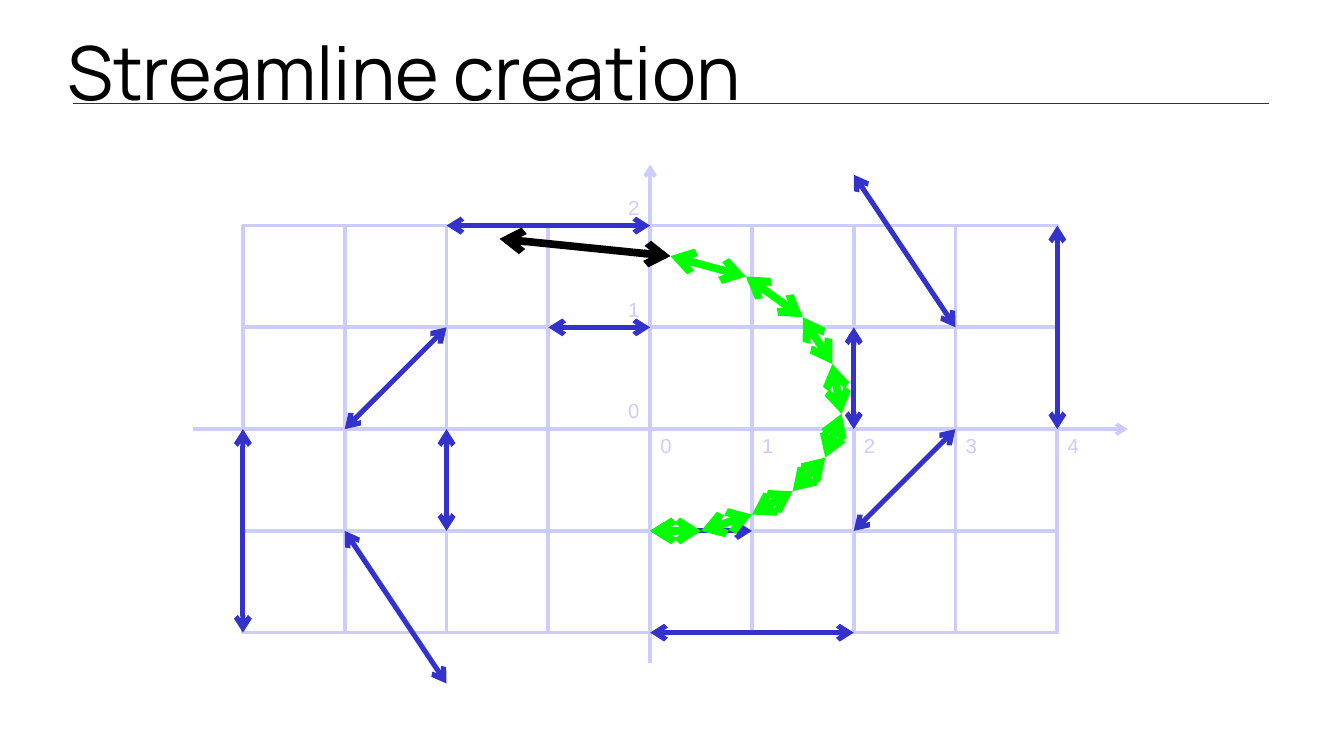
from itertools import pairwise, product

from lxml.etree import SubElement
from pptx import Presentation
from pptx.dml.color import RGBColor
from pptx.enum.shapes import MSO_CONNECTOR as Connector, MSO_SHAPE as Shape
from pptx.enum.text import MSO_ANCHOR as Anchor, PP_ALIGN as Align
from pptx.oxml.ns import qn
from pptx.util import Cm, Pt

GRID_COLOR = "CCCCFF"
FIELD_COLOR = "3333CC"
STREAM_COLOR = "00FF00"
BLACK = "000000"
UNIT = 2.12
COLUMNS, ROWS = 8, 4
FIELD_POINTS = [(1 * 2, 0), (4, 0), (-4, 0), (-2, 0), (0, 1), (0, 2),
                (0, -2), (0, -1), (2, -1), (-2, 1), (3, 1), (-3, -1)]
STREAM_POINTS = [(0, -1), (0.5, -1), (1, -0.84), (1.4, -0.61), (1.72, -0.28),
                 (1.88, 0.15), (1.79, 0.64), (1.5, 1.1), (0.94, 1.5), (0.2, 1.7)]
NEXT_POINT = (-1.48, 1.87)


def color(value):
    """Return the colour for a hex string."""
    return RGBColor.from_string(value)


def add_line(slide, start, end, line_color, width, head=False, tail=False):
    """Draw a straight line between two points in cm, with optional arrowheads."""
    line = slide.shapes.add_connector(
        Connector.STRAIGHT, *(Cm(value) for value in (*start, *end)))
    line.line.color.rgb = color(line_color)
    line.line.width = Pt(width)
    for tag, wanted in (("a:headEnd", head), ("a:tailEnd", tail)):
        if wanted:
            SubElement(line.line._get_or_add_ln(), qn(tag), type="arrow")
    SubElement(line._element.spPr, qn("a:effectLst"))


def add_text(slide, box, text, font_name, size, text_color, align):
    """Place one line of text, vertically centred in a box given in cm."""
    shape = slide.shapes.add_textbox(*(Cm(value) for value in box))
    frame = shape.text_frame
    frame.word_wrap = True
    frame.vertical_anchor = Anchor.MIDDLE
    frame.margin_left = frame.margin_right = 0
    frame.margin_top = frame.margin_bottom = 0
    paragraph = frame.paragraphs[0]
    paragraph.alignment = align
    run = paragraph.add_run()
    run.text = text
    run.font.name = font_name
    run.font.size = Pt(size)
    run.font.color.rgb = color(text_color)


def add_title(slide, box, text):
    """Set the slide title and the rule that underlines it."""
    left, top, width, height = box
    rule_y = top + height - 0.36
    add_line(slide, (left + 0.12, rule_y), (left + width - 0.18, rule_y), "333333", 0.75)
    add_text(slide, box, text, "Manrope", 44, BLACK, Align.LEFT)


def add_grid(slide, left, top):
    """Draw the square cells of the coordinate grid."""
    for column, row in product(range(COLUMNS), range(ROWS)):
        cell = slide.shapes.add_shape(
            Shape.RECTANGLE, Cm(left + column * UNIT), Cm(top + row * UNIT),
            Cm(UNIT), Cm(UNIT))
        cell.shadow.inherit = False
        cell.fill.background()
        cell.line.color.rgb = color(GRID_COLOR)
        cell.line.width = Pt(2.25)


def add_axes(slide, origin):
    """Draw both axes and number their positive halves."""
    x, y = origin
    add_line(slide, (x - 9.52, y), (x + 9.95, y), GRID_COLOR, 2.25, tail=True)
    add_line(slide, (x, y + 4.88), (x, y - 5.51), GRID_COLOR, 2.25, tail=True)
    width, height = 0.74, 0.76
    centers = [(value, x + value * UNIT + 0.33, y + 0.33) for value in range(5)]
    centers += [(value, x - 0.34, y - value * UNIT - 0.38) for value in range(3)]
    for value, center_x, center_y in centers:
        box = (center_x - width / 2, center_y - height / 2, width, height)
        add_text(slide, box, str(value), "Arial", 12, GRID_COLOR, Align.CENTER)


def add_plot(slide, box):
    """Draw the grid, the vector field (-y, x/2) and a streamline through it."""
    left, top, width, height = box
    origin_x, origin_y = left + width / 2, top + height / 2

    def add_vector(start, end, line_color, line_width):
        """Draw a double arrow between two points in grid units."""
        ends = [(origin_x + x * UNIT, origin_y - y * UNIT) for x, y in (start, end)]
        add_line(slide, *ends, line_color, line_width, head=True, tail=True)

    add_grid(slide, left, top)
    add_axes(slide, (origin_x, origin_y))
    for x, y in FIELD_POINTS:
        add_vector((x, y), (x - y, y + x / 2), FIELD_COLOR, 3)
    for start, end in pairwise(STREAM_POINTS):
        add_vector(start, end, STREAM_COLOR, 4.5)
    add_vector(STREAM_POINTS[-1], NEXT_POINT, BLACK, 4.5)


def main():
    """Build the slide and save the presentation."""
    presentation = Presentation()
    presentation.slide_width = Cm(27.99)
    presentation.slide_height = Cm(15.75)
    slide = presentation.slides.add_slide(presentation.slide_layouts[6])
    add_title(slide, (1.4, 0.41, 25.2, 2.11), "Streamline creation")
    add_plot(slide, (5.06, 4.7, COLUMNS * UNIT, ROWS * UNIT))
    presentation.save("out.pptx")


if __name__ == "__main__":
    main()
